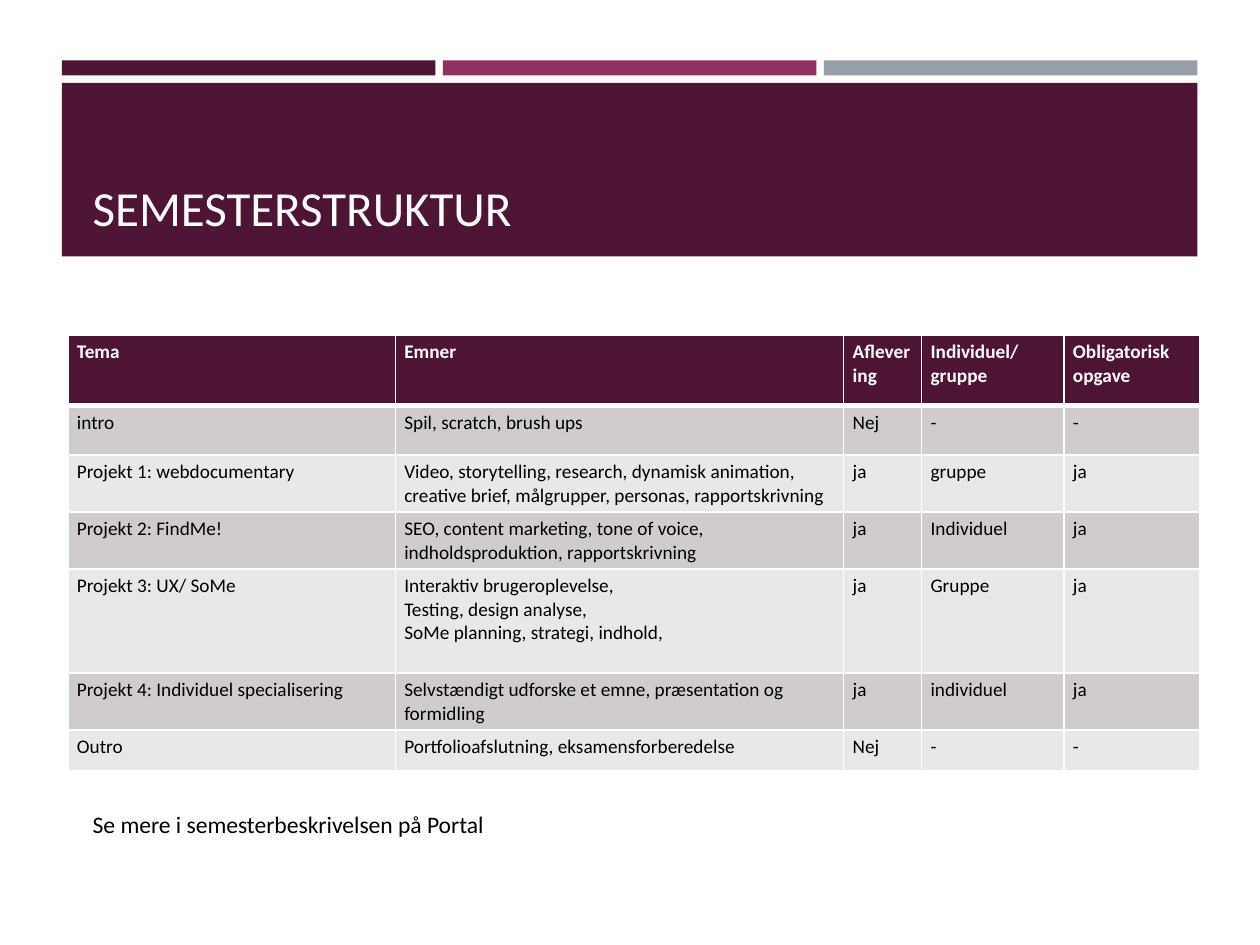
"""Build the semester structure slide with its header band and topic table."""
import lxml.etree
import pptx
import pptx.dml.color
import pptx.enum.shapes
import pptx.enum.text
import pptx.oxml.ns
import pptx.util

Cm = pptx.util.Cm
DARK, PINK, GREY = "4D1434", "903163", "969FA7"
WHITE, BLACK = "FFFFFF", "000000"
BANDS = ["E9E7E8", "D0CCCE"]


def rgb(value):
    return pptx.dml.color.RGBColor.from_string(value)


def add_run(p, text, size, color, bold=False):
    r = p.add_run()
    r.text = text
    r.font.name = "Calibri"
    r.font.size = pptx.util.Pt(size)
    r.font.bold = bold
    r.font.color.rgb = rgb(color)


prs = pptx.Presentation()
prs.slide_width, prs.slide_height = Cm(25.4), Cm(19.05)
s = prs.slides.add_slide(prs.slide_layouts[6])

bars = [(1.25 + 7.68 * i, 1.22, 7.53, 0.3, color)
        for i, color in enumerate([DARK, PINK, GREY])]
bars.append((1.25, 1.67, 22.89, 3.5, DARK))
for left, top, width, height, color in bars:
    sp = s.shapes.add_shape(pptx.enum.shapes.MSO_SHAPE.RECTANGLE,
                            Cm(left), Cm(top), Cm(width), Cm(height))
    sp.shadow.inherit = False
    sp.fill.solid()
    sp.fill.fore_color.rgb = rgb(color)
    sp.line.fill.background()

anchors = pptx.enum.text.MSO_ANCHOR
texts = [
    ("SEMESTERSTRUKTUR", 1.9, 22.2, 3, 28, WHITE, anchors.BOTTOM),
    ("Se mere i semesterbeskrivelsen på Portal", 16.2, 10.62, 0.84, 13.5, BLACK, anchors.TOP),
]
for text, top, width, height, size, color, anchor in texts:
    tf = s.shapes.add_textbox(Cm(1.62), Cm(top), Cm(width), Cm(height)).text_frame
    tf.word_wrap = True
    tf.vertical_anchor = anchor
    add_run(tf.paragraphs[0], text, size, color)

rows = [
    ["Tema", "Emner", "Aflevering", "Individuel/ gruppe", "Obligatorisk opgave"],
    ["intro", "Spil, scratch, brush ups", "Nej", "-", "-"],
    ["Projekt 1: webdocumentary",
     "Video, storytelling, research, dynamisk animation, creative brief, "
     "målgrupper, personas, rapportskrivning", "ja", "gruppe", "ja"],
    ["Projekt 2: FindMe!",
     "SEO, content marketing, tone of voice, indholdsproduktion, rapportskrivning",
     "ja", "Individuel", "ja"],
    ["Projekt 3: UX/ SoMe",
     "Interaktiv brugeroplevelse,\nTesting, design analyse,\nSoMe planning, strategi, indhold,",
     "ja", "Gruppe", "ja"],
    ["Projekt 4: Individuel specialisering",
     "Selvstændigt udforske et emne, præsentation og formidling",
     "ja", "individuel", "ja"],
    ["Outro", "Portfolioafslutning, eksamensforberedelse", "Nej", "-", "-"],
]
widths = [6.6, 9.04, 1.57, 2.87, 2.74]
heights = [1.42, 0.99, 1.15, 1.15, 2.1, 1.15, 0.83]
table = s.shapes.add_table(len(rows), len(widths), Cm(1.37), Cm(6.76),
                           Cm(sum(widths)), Cm(sum(heights))).table
for column, width in zip(table.columns, widths):
    column.width = Cm(width)

for i, (row, height) in enumerate(zip(rows, heights)):
    table.rows[i].height = Cm(height)
    header = i == 0
    for j, text in enumerate(row):
        cell = table.cell(i, j)
        cell.margin_left = cell.margin_right = Cm(0.18)
        cell.margin_top = cell.margin_bottom = Cm(0.1)
        tcPr = cell._tc.get_or_add_tcPr()
        for side in "LRTB":
            thick = (i, side) in [(0, "B"), (1, "T")]
            ln = lxml.etree.SubElement(tcPr, pptx.oxml.ns.qn(f"a:ln{side}"),
                                       w=str(pptx.util.Pt(3 if thick else 1)))
            fill = lxml.etree.SubElement(ln, pptx.oxml.ns.qn("a:solidFill"))
            lxml.etree.SubElement(fill, pptx.oxml.ns.qn("a:srgbClr"), val=WHITE)
        cell.fill.solid()
        cell.fill.fore_color.rgb = rgb(DARK if header else BANDS[i % 2])
        tf = cell.text_frame
        for k, line in enumerate(text.split("\n")):
            p = tf.add_paragraph() if k else tf.paragraphs[0]
            add_run(p, line, 11, WHITE if header else BLACK, header)

prs.save("out.pptx")
